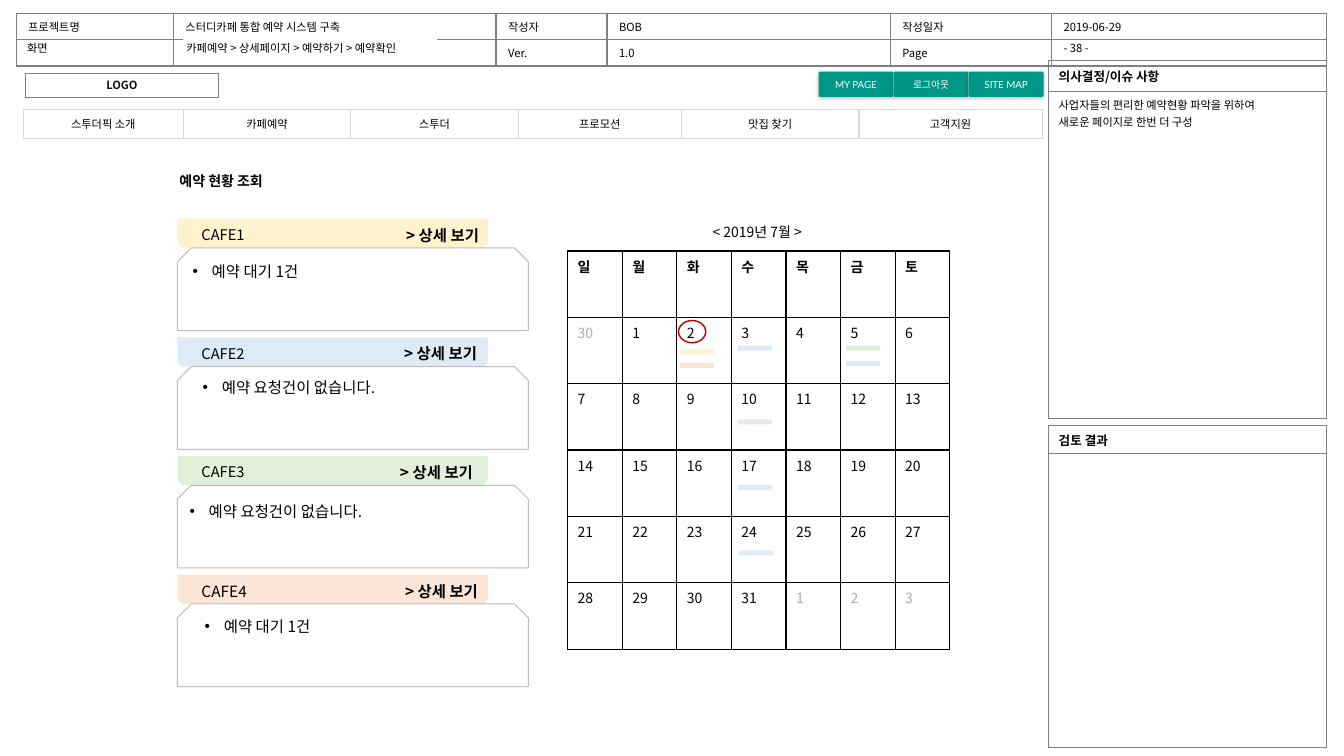
from lxml import etree
from pptx import Presentation
from pptx.dml.color import RGBColor
from pptx.enum import shapes, text
from pptx.oxml import ns
from pptx.util import Inches, Pt

# Content
FONT = "Noto Sans CJK KR"
TITLE = "예약 현황 조회"
HEADER = [["프로젝트명", "스터디카페 통합 예약 시스템 구축", "작성자", "BOB", "작성일자", "2019-06-29"],
          ["", "", "Ver.", "1.0", "Page", ""]]
BREADCRUMB = "카페예약 > 상세페이지 > 예약하기 > 예약확인"
MENU = [["스투더픽 소개", "카페예약", "스투더", "프로모션", "맛집 찾기", "고객지원"]]
ISSUES = [["의사결정/이슈 사항"],
          ["사업자들의 편리한 예약현황 파악을 위하여\n새로운 페이지로 한번 더 구성"]]
REVIEW = [["검토 결과"], [""]]
BUTTONS = ["MY PAGE", "로그아웃", "SITE MAP"]
MORE = "> 상세 보기"
YELLOW, BLUE, GREEN, ORANGE = "FFF2CC", "DEEBF7", "E2F0D9", "FBE5D6"
# name, name size, tab colour, status, status left, status drop, link right edge
CAFES = [("CAFE1", 10.5, YELLOW, "예약 대기 1건", 1.81, 0.38, 4.85),
         ("CAFE2", 10.5, BLUE, "예약 요청건이 없습니다.", 1.91, 0.35, 4.83),
         ("CAFE3", 10.5, GREEN, "예약 요청건이 없습니다.", 1.78, 0.41, 4.79),
         ("CAFE4", 11, ORANGE, "예약 대기 1건", 1.93, 0.37, 4.84)]
MONTH = "< 2019년 7월 >"
WEEKDAYS = list("일월화수목금토")
DAYS = [30, *range(1, 32), 1, 2, 3]
# left, top, colour of each booking bar
BOOKINGS = [(6.74, 3.46, YELLOW), (6.74, 3.6, ORANGE), (7.32, 3.43, BLUE),
            (8.39, 3.43, GREEN), (8.39, 3.58, BLUE), (7.32, 4.16, BLUE),
            (7.32, 4.81, BLUE), (7.33, 5.46, BLUE)]

LEFT, CENTER, RIGHT = text.PP_ALIGN.LEFT, text.PP_ALIGN.CENTER, text.PP_ALIGN.RIGHT
TOP, MIDDLE = text.MSO_ANCHOR.TOP, text.MSO_ANCHOR.MIDDLE
SHAPE = shapes.MSO_SHAPE


def rgb(color):
    return RGBColor.from_string(color)


def sub(parent, tag, **attrs):
    return etree.SubElement(parent, ns.qn(tag), attrs)


def write(tf, content, size, bold=False, color="000000", align=LEFT, font=FONT, bullet=False):
    for i, line in enumerate(content.split("\n")):
        p = tf.paragraphs[0] if i == 0 else tf.add_paragraph()
        p.alignment, p.space_before = align, Pt(0)
        if bullet:
            pPr = p._p.get_or_add_pPr()
            pPr.set("marL", str(Inches(0.19)))
            pPr.set("indent", str(-Inches(0.19)))
            sub(pPr, "a:buFont", typeface="Arial")
            sub(pPr, "a:buChar", char="•")
        if not line:
            p._p.get_or_add_endParaRPr().set("sz", str(size * 100))
            continue
        r = p.add_run()
        r.text = line
        for name, value in {"size": Pt(size), "bold": bold, "name": font}.items():
            setattr(r.font, name, value)
        r.font.color.rgb = rgb(color)
        r.font._element.find(ns.qn("a:latin")).addnext(
            etree.Element(ns.qn("a:ea"), typeface=FONT))


def frame(sp, anchor=TOP, side=0.1):
    tf = sp.text_frame
    values = {"word_wrap": True, "auto_size": text.MSO_AUTO_SIZE.NONE, "vertical_anchor": anchor,
              "margin_left": Inches(side), "margin_right": Inches(side),
              "margin_top": Inches(0.05), "margin_bottom": Inches(0.05)}
    for name, value in values.items():
        setattr(tf, name, value)
    return tf


def place(sp, *box):
    for name, value in zip(("left", "top", "width", "height"), box):
        setattr(sp, name, Inches(value))


def add_text(s, box, content, size, anchor=TOP, **style):
    sp = s.shapes.add_textbox(*map(Inches, box))
    write(frame(sp, anchor), content, size, **style)


def add_box(s, kind, box, fill=None, line=None, width=0.75):
    sp = s.shapes.add_shape(kind, *map(Inches, box))
    sp.shadow.inherit = False
    if fill:
        sp.fill.solid()
        sp.fill.fore_color.rgb = rgb(fill)
    else:
        sp.fill.background()
    if line:
        sp.line.color.rgb = rgb(line)
        sp.line.width = Pt(width)
    else:
        sp.line.fill.background()
    return sp


def add_grid(s, left, top, cols, rows, cells, border, style, fill=None, side=0.1):
    """style(row, column) gives the anchor and the text format of a cell."""
    box = map(Inches, (left, top, sum(cols), sum(rows)))
    table = s.shapes.add_table(len(rows), len(cols), *box).table
    table.first_row = table.horz_banding = False
    for col, width in zip(table.columns, cols):
        col.width = Inches(width)
    for i, height in enumerate(rows):
        table.rows[i].height = Inches(height)
        for j, content in enumerate(cells[i]):
            cell = table.cell(i, j)
            anchor, fmt = style(i, j)
            cell.vertical_anchor = anchor
            cell.margin_left = cell.margin_right = Inches(side)
            write(cell.text_frame, content, **fmt)
            tcPr = cell._tc.get_or_add_tcPr()
            for edge in ("a:lnL", "a:lnR", "a:lnT", "a:lnB"):
                ln = sub(tcPr, edge, w=str(Pt(1)))
                sub(sub(ln, "a:solidFill"), "a:srgbClr", val=border)
            if fill:
                cell.fill.solid()
                cell.fill.fore_color.rgb = rgb(fill)
            else:
                cell.fill.background()


def panel_style(i, j):
    return (TOP, {"size": 8}) if i else (MIDDLE, {"size": 9, "bold": True})


def calendar_style(i, j):
    other_month = (i, j) == (1, 0) or (i == 5 and j > 3)
    return TOP, {"size": 10, "bold": i == 0, "color": "AFABAB" if other_month else "000000"}


def main():
    prs = Presentation()
    prs.slide_width, prs.slide_height = Inches(13.33), Inches(7.5)
    s = prs.slides.add_slide(prs.slide_layouts.get_by_name("Comparison"))
    title, *lists = s.placeholders

    # Document header
    add_grid(s, 0.16, 0.13, [1.56, 3.2, 1.1, 2.81, 1.6, 2.73], [0.24] * 2, HEADER, "808080",
             lambda i, j: (TOP, {"size": 8}), side=0.12)
    add_box(s, SHAPE.RECTANGLE, (1.82, 0.38, 2.51, 0.19), "FFFFFF", "FFFFFF", 1)
    add_text(s, (1.75, 0.38, 2.62, 0.2), BREADCRUMB, 8, MIDDLE)
    add_text(s, (0.17, 0.36, 0.6, 0.24), "화면", 8)
    add_text(s, (10.45, 0.36, 1.07, 0.24), "- 38 -", 8)

    # Side panels
    add_grid(s, 10.4, 0.6, [2.76], [0.31, 3.24], ISSUES, "808080", panel_style)
    add_grid(s, 10.4, 4.22, [2.76], [0.28, 2.91], REVIEW, "808080", panel_style)

    # Logo box, buttons and menu
    logo = add_box(s, SHAPE.RECTANGLE, (0.25, 0.73, 1.92, 0.24), line="808080")
    write(frame(logo), "LOGO", 8, bold=True, color="0D0D0D", align=CENTER)
    for i, label in enumerate(BUTTONS):
        sp = add_box(s, SHAPE.ROUNDED_RECTANGLE, (8.12 + 0.745 * i, 0.71, 0.74, 0.25), "009688")
        sp.adjustments[0] = 0.05
        write(frame(sp, MIDDLE, 0.08), label, 7, color="FFFFFF", align=CENTER, font="Lato")
        effects = sp._element.spPr.find(ns.qn("a:effectLst"))
        shadow = sub(effects, "a:outerShdw", blurRad=str(Pt(3)), dist=str(Pt(1)), dir="5400000")
        sub(sub(shadow, "a:srgbClr", val="000000"), "a:alpha", val="25000")
    add_grid(s, 0.23, 1.09, [1.59, 1.66, 1.66, 1.62, 1.76, 1.82], [0.28], MENU, "D9D9D9",
             lambda i, j: (MIDDLE, {"size": 8, "align": CENTER}), "FFFFFF", 0.12)

    # Page title
    place(title, 1.68, 1.66, 1.43, 0.27)
    write(frame(title), TITLE, 10, bold=True)

    # Cafe cards
    for i, (name, size, color, status, left, drop, right) in enumerate(CAFES):
        top = 2.17 + 1.177 * i
        tab = add_box(s, SHAPE.SNIP_2_SAME_RECTANGLE, (1.76, top, 3.08, 0.29), color)
        tab.rotation = 180
        add_box(s, SHAPE.SNIP_2_SAME_RECTANGLE, (1.76, top + 0.29, 3.48, 0.82), "FFFFFF", "BFBFBF")
        add_text(s, (1.9, top + 0.02, 1.28, 0.29), name, size)
        add_text(s, (right - 1.28, top + 0.02, 1.28, 0.29), MORE, 11, bold=True, align=RIGHT)
        body = lists[i]
        place(body, left, top + drop, 2.5, 0.29)
        write(frame(body), status, 11, bullet=True)
        s.shapes._spTree.append(body._element)

    # Calendar
    weeks = [[str(d) for d in DAYS[k:k + 7]] for k in range(0, len(DAYS), 7)]
    add_text(s, (6.86, 2.17, 1.3, 0.27), MONTH, 10, align=CENTER)
    add_grid(s, 5.63, 2.49, [3.79 / 7] * 7, [3.95 / 6] * 6, [WEEKDAYS] + weeks, "000000",
             calendar_style, "FFFFFF")
    for left, top, color in BOOKINGS:
        add_box(s, SHAPE.RECTANGLE, (left, top, 0.34, 0.05), color)
    add_box(s, SHAPE.OVAL, (6.73, 3.18, 0.27, 0.22), line="C00000", width=1)

    prs.save("out.pptx")


if __name__ == "__main__":
    main()
